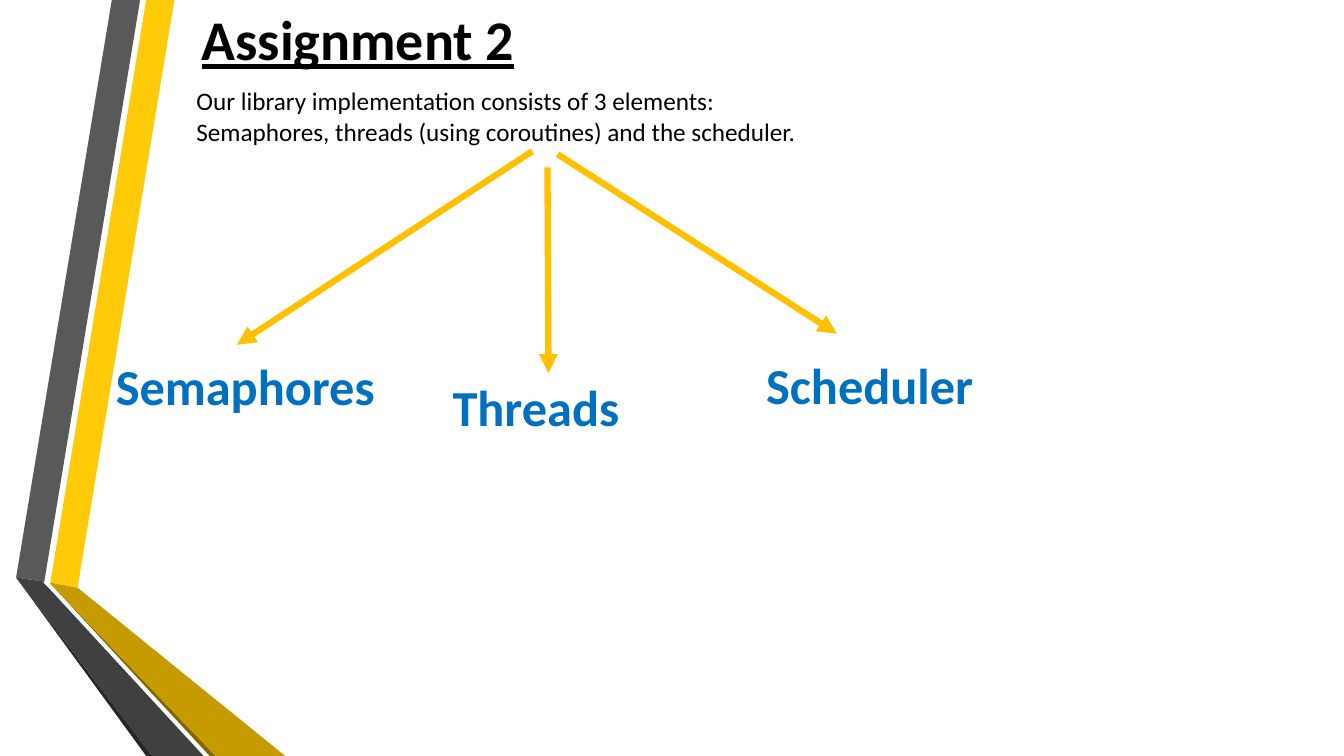
from lxml.etree import SubElement
from pptx import Presentation
from pptx.dml.color import RGBColor
from pptx.enum.shapes import MSO_CONNECTOR
from pptx.enum.text import MSO_ANCHOR, MSO_AUTO_SIZE, PP_ALIGN
from pptx.oxml.ns import qn
from pptx.util import Inches, Pt

BLACK = RGBColor(0x00, 0x00, 0x00)
BLUE = RGBColor(0x00, 0x70, 0xC0)
AMBER = RGBColor(0xFF, 0xC0, 0x00)
YELLOW = RGBColor(0xFF, 0xCA, 0x08)
GOLD = RGBColor(0xC5, 0x9B, 0x00)
DARK_GOLD = RGBColor(0x84, 0x67, 0x00)
GREY = RGBColor(0x59, 0x59, 0x59)
DARK_GREY = RGBColor(0x40, 0x40, 0x40)
CHARCOAL = RGBColor(0x26, 0x26, 0x26)

# Folded ribbons along the left edge: colour and outline in inches
RIBBONS = [
    (YELLOW, [(0.5, 5.78), (0.77, 5.83), (1.73, 0), (1.45, 0)]),
    (GREY, [(1.39, 0), (1.11, 0), (0.16, 5.73), (0.44, 5.77)]),
    (CHARCOAL, [(0.16, 5.73), (1.45, 7.5), (1.51, 7.5)]),
    (DARK_GOLD, [(0.5, 5.79), (2.08, 7.5), (2.14, 7.5)]),
    (GOLD, [(0.5, 5.79), (2.14, 7.5), (2.83, 7.5), (0.77, 5.83), (0.5, 5.78)]),
    (DARK_GREY, [(2.02, 7.5), (0.48, 5.83), (0.43, 5.78), (0.44, 5.77),
                 (0.16, 5.73), (1.51, 7.5)]),
]

# Name, label box, arrow start, arrow end
ELEMENTS = [
    ("Semaphores", (1.05, 3.47, 2.93, 1.48), (5.28, 1.5), (2.35, 3.42)),
    ("Threads", (4.39, 3.68, 1.96, 1.48), (5.43, 1.66), (5.44, 3.7)),
    ("Scheduler", (7.5, 3.46, 2.38, 1.48), (5.53, 1.53), (8.3, 3.31)),
]


class SlideBuilder:
    font = "Calibri"

    def __init__(self, prs):
        self.s = prs.slides.add_slide(prs.slide_layouts[5])

    def add_run(self, p, text, size, color, bold=False, underline=False):
        r = p.add_run()
        r.text = text
        r.font.name = self.font
        r.font.size = Pt(size)
        r.font.color.rgb = color
        r.font.bold = bold
        r.font.underline = underline

    def ribbon(self, color, points):
        points = [(Inches(x), Inches(y)) for x, y in points]
        builder = self.s.shapes.build_freeform(*points[0], scale=1.0)
        builder.add_line_segments(points[1:], close=True)
        sp = builder.convert_to_shape()
        sp.shadow.inherit = False
        sp.fill.solid()
        sp.fill.fore_color.rgb = color
        sp.line.fill.background()

    def title(self, text, box):
        sp = self.s.shapes.title
        sp.left, sp.top, sp.width, sp.height = map(Inches, box)
        tf = sp.text_frame
        tf.auto_size = MSO_AUTO_SIZE.NONE
        tf.vertical_anchor = MSO_ANCHOR.MIDDLE
        p = tf.paragraphs[0]
        p.alignment = PP_ALIGN.LEFT
        self.add_run(p, text, 40, BLACK, bold=True, underline=True)

    def text(self, lines, box, size, color, bold=False):
        tf = self.s.shapes.add_textbox(*map(Inches, box)).text_frame
        tf.word_wrap = True
        for i, line in enumerate(lines):
            p = tf.add_paragraph() if i else tf.paragraphs[0]
            self.add_run(p, line, size, color, bold)

    def arrow(self, start, end):
        c = self.s.shapes.add_connector(
            MSO_CONNECTOR.STRAIGHT, *map(Inches, start + end))
        c.line.color.rgb = AMBER
        c.line.width = Pt(4.5)
        SubElement(c.line._get_or_add_ln(), qn("a:tailEnd"), type="triangle")
        SubElement(c._element.spPr, qn("a:effectLst"))


def main():
    prs = Presentation()
    prs.slide_width, prs.slide_height = Inches(13.33), Inches(7.5)
    slide = SlideBuilder(prs)
    for color, points in RIBBONS:
        slide.ribbon(color, points)
    slide.title("Assignment 2", (1.9, -0.03, 4.11, 0.82))
    slide.text(["Our library implementation consists of 3 elements:",
                "Semaphores, threads (using coroutines) and the scheduler."],
               (1.85, 0.8, 6.24, 0.71), 18, BLACK)
    for name, box, start, end in ELEMENTS:
        slide.arrow(start, end)
        slide.text([name], box, 36, BLUE, bold=True)
    prs.save("out.pptx")


if __name__ == "__main__":
    main()
